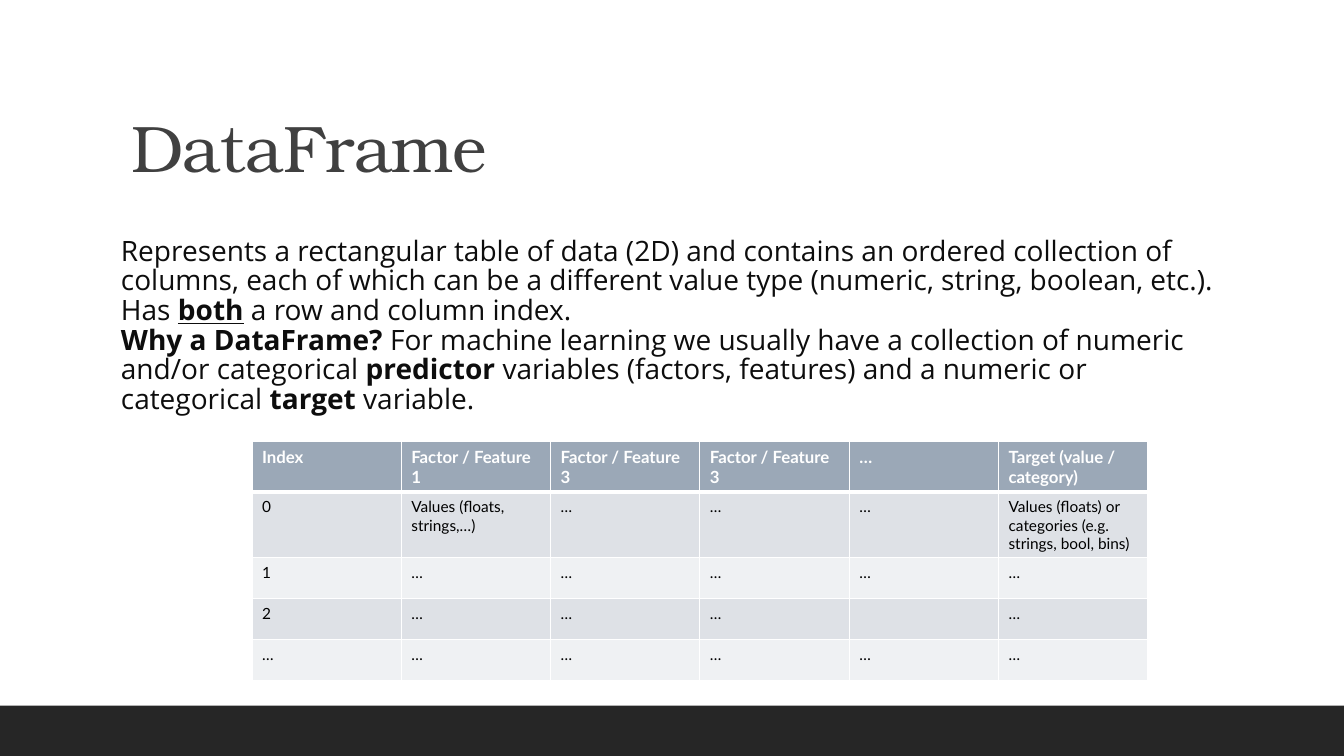
"""Build a slide that explains the DataFrame with a sample table."""
from lxml import etree
from pptx import Presentation
from pptx.dml.color import RGBColor
from pptx.enum.shapes import MSO_SHAPE
from pptx.enum.text import MSO_ANCHOR, MSO_AUTO_SIZE, PP_ALIGN
from pptx.oxml.ns import qn
from pptx.util import Pt

RECT = MSO_SHAPE.RECTANGLE
BOTTOM = MSO_ANCHOR.BOTTOM
TOP = MSO_ANCHOR.TOP
FIXED = MSO_AUTO_SIZE.NONE
LEFT = PP_ALIGN.LEFT

TITLE = "DataFrame"
BODY = [
    [("Represents a rectangular table of data (2D) and contains an ordered "
      "collection of columns, each of which can be a different value type "
      "(numeric, string, boolean, etc.).", "")],
    [("Has ", ""), ("both", "bu"), (" a row and column index.", "")],
    [("Why a DataFrame? ", "b"),
     ("For machine learning we usually have a collection of numeric and/or "
      "categorical ", ""),
     ("predictor", "b"),
     (" variables (factors, features) and a numeric or categorical ", ""),
     ("target", "b"), (" variable.", "")],
]
ROWS = [
    ["Index", "Factor / Feature 1", "Factor / Feature 3",
     "Factor / Feature 3", "…", "Target (value / category)"],
    ["0", "Values (floats, strings,…)", "…", "…", "…",
     "Values (floats) or categories (e.g. strings, bool, bins)"],
    ["1", "…", "…", "…", "…", "…"],
    ["2", "…", "…", "…", "", "…"],
    ["…", "…", "…", "…", "…", "…"],
]
HEAD, BANDS = "9BA8B7", ("DEE1E6", "EFF1F3")
WIDE, HIGH, BAR = 960, 540, 36
EDGE, SPAN = 86.4, 792
GRID_X, GRID_Y, GRID_W, ROW_H = 180, 315.5, 640, 29.3


def paint(part, color):
    part.solid()
    part.fore_color.rgb = RGBColor.from_string(color)


def write(para, text, face, size, color, style=""):
    run = para.add_run()
    run.text = text
    font = run.font
    font.name, font.size = face, Pt(size)
    font.bold = "b" in style
    font.underline = "u" in style
    paint(font.fill, color)
    return run


def border(cell, base):
    props = cell._tc.get_or_add_tcPr()
    sides = [("lnL", 1), ("lnR", 1), ("lnT", 1), ("lnB", base)]
    for spot, (side, width) in enumerate(sides):
        line = etree.Element(qn("a:" + side), w=str(Pt(width)))
        fill = etree.SubElement(line, qn("a:solidFill"))
        etree.SubElement(fill, qn("a:srgbClr"), val="FFFFFF")
        props.insert(spot, line)


deck = Presentation()
deck.slide_width, deck.slide_height = Pt(WIDE), Pt(HIGH)
slide = deck.slides.add_slide(deck.slide_layouts[5])
shapes = slide.shapes

bar = shapes.add_shape(RECT, 0, Pt(HIGH - BAR), Pt(WIDE), Pt(BAR))
bar.shadow.inherit = False
paint(bar.fill, "262626")
bar.line.fill.background()

title = shapes.title
title.left, title.top = Pt(EDGE), Pt(22.5)
title.width, title.height = Pt(SPAN), Pt(114.5)
frame = title.text_frame
frame.auto_size, frame.vertical_anchor = FIXED, BOTTOM
para = frame.paragraphs[0]
para.alignment, para.line_spacing = LEFT, 0.9
run = write(para, TITLE, "TeX Gyre Bonum", 47, "404040")
run.font._element.set("spc", "-50")

body = shapes.add_textbox(Pt(EDGE), Pt(166.3), Pt(SPAN), Pt(296))
frame = body.text_frame
frame.word_wrap, frame.vertical_anchor = True, TOP
frame.margin_left = frame.margin_right = 0
for i, runs in enumerate(BODY):
    para = frame.add_paragraph() if i else frame.paragraphs[0]
    para.line_spacing = 0.88
    for text, style in runs:
        write(para, text, "Open Sans", 20, "0D0D0D", style)

cols = len(ROWS[0])
grid = shapes.add_table(len(ROWS), cols, Pt(GRID_X), Pt(GRID_Y),
                        Pt(GRID_W), Pt(ROW_H * len(ROWS))).table
for col in grid.columns:
    col.width = Pt(GRID_W / cols)
for r, row in enumerate(ROWS):
    grid.rows[r].height = Pt(ROW_H)
    look = (11, "000000", "") if r else (12, "FFFFFF", "b")
    for c, text in enumerate(row):
        cell = grid.cell(r, c)
        paint(cell.fill, BANDS[(r - 1) % 2] if r else HEAD)
        border(cell, 1 if r else 3)
        if text:
            write(cell.text_frame.paragraphs[0], text, "Lato", *look)

deck.save("out.pptx")
